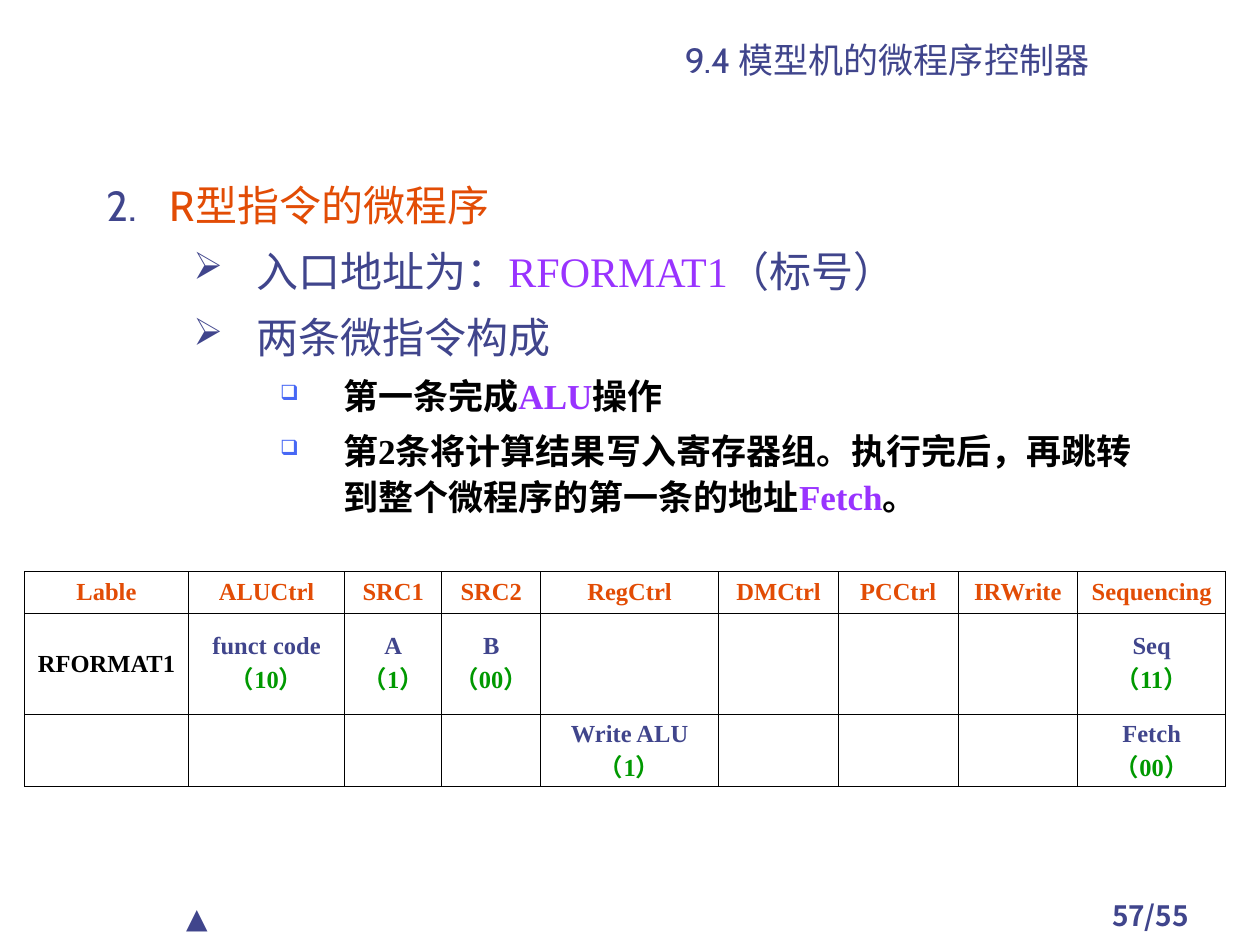
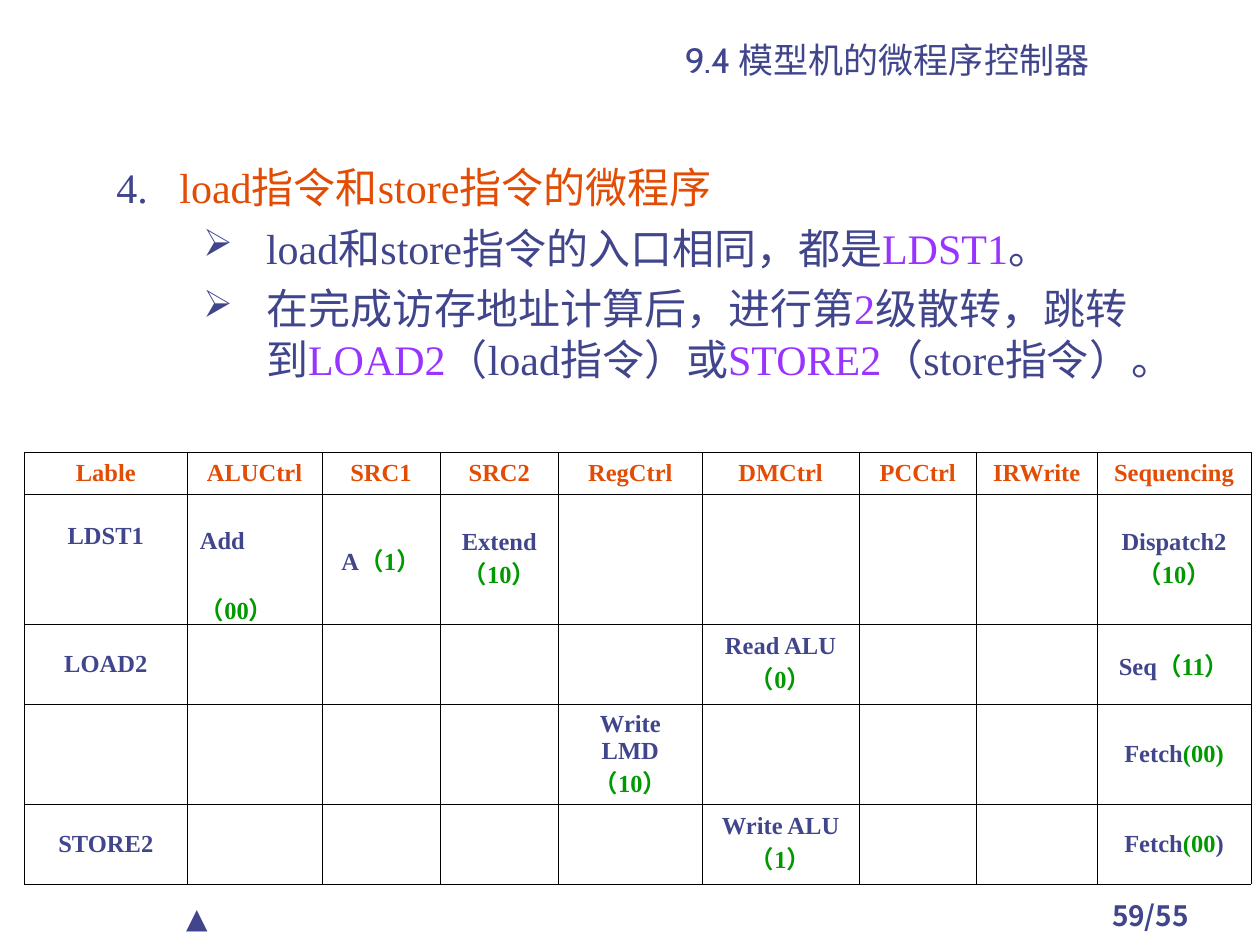
from lxml import etree
from pptx import Presentation
from pptx.dml.color import RGBColor
from pptx.enum.text import MSO_ANCHOR as ANCHOR, PP_ALIGN as ALIGN
from pptx.oxml.ns import qn
from pptx.util import Pt

COLORS = {"indigo": "40458C", "orange": "E24C05", "purple": "9933FF",
          "green": "009900", "blue": "4768F5", "black": "000000"}
CABIN, TIMES, CJK = "Cabin", "Times New Roman", "Noto Sans CJK SC"
HEADERS = ["Lable", "ALUCtrl", "SRC1", "SRC2", "RegCtrl", "DMCtrl",
           "PCCtrl", "IRWrite", "Sequencing"]

# Outline levels: left margin, bullet, bullet colour, bullet size, space before
LEVELS = [
    dict(margin=36, bullet=None, color="indigo", percent=100, before=6),
    dict(margin=85.5, bullet="➢", color="indigo", percent=90, before=6),
    dict(margin=135, bullet="❑", color="blue", percent=60, before=5),
]


def rgb(name):
    return RGBColor.from_string(COLORS[name])


def add_text(p, text, size=14, font=TIMES, color="indigo", accent="green",
             accent_font=None, bold=False, align=None, spacing=None):
    """Fill a paragraph; pieces between | marks alternate base and accent."""
    if align is not None:
        p.alignment = align
    if spacing:
        p.line_spacing = spacing
    for i, piece in enumerate(text.split("|")):
        if not piece:
            continue
        r = p.add_run()
        r.text = piece
        f = r.font
        f.size, f.bold = Pt(size), bold
        f.name = (accent_font or font) if i % 2 else font
        f.color.rgb = rgb(accent if i % 2 else color)
        etree.SubElement(r._r.get_or_add_rPr(), qn("a:ea"), typeface=CJK)


class Deck:
    def __init__(self):
        self.prs = Presentation()
        self.prs.slide_width, self.prs.slide_height = Pt(720), Pt(540)
        self.s = None

    def slide(self, page):
        """Start a slide with the shared title and footer."""
        self.s = self.prs.slides.add_slide(self.prs.slide_layouts[6])
        self.label(page, 606.25, 509.75, 102.25, 23.75, size=16, font=CJK,
                   bold=True, align=ALIGN.CENTER)
        self.label("▲", 99.25, 511.25, 102.25, 26.75, size=16, font=CABIN)
        self.label("9.4 模型机的微程序控制器", 306, 19.5, 401.75, 30.25,
                   anchor=ANCHOR.BOTTOM, size=20, font=CABIN,
                   align=ALIGN.CENTER)

    def box(self, x, y, w, h, anchor=ANCHOR.TOP):
        tf = self.s.shapes.add_textbox(Pt(x), Pt(y), Pt(w), Pt(h)).text_frame
        tf.word_wrap = True
        tf.vertical_anchor = anchor
        return tf

    def label(self, text, x, y, w, h, anchor=ANCHOR.TOP, **fmt):
        add_text(self.box(x, y, w, h, anchor).paragraphs[0], text, **fmt)

    def outline(self, items, x, y, w, h, start, spacing=None):
        """Numbered heading with bulleted points; items are (level, text, format)."""
        tf = self.box(x, y, w, h)
        for i, (level, text, fmt) in enumerate(items):
            p = tf.add_paragraph() if i else tf.paragraphs[0]
            style = LEVELS[level]
            p.level = level
            pPr = p._p.get_or_add_pPr()
            pPr.set("marL", str(Pt(style["margin"])))
            pPr.set("indent", str(Pt(-36)))
            clr = etree.SubElement(pPr, qn("a:buClr"))
            etree.SubElement(clr, qn("a:srgbClr"), val=COLORS[style["color"]])
            etree.SubElement(pPr, qn("a:buSzPct"),
                             val=str(style["percent"] * 1000))
            if style["bullet"]:
                etree.SubElement(pPr, qn("a:buChar"), char=style["bullet"])
            else:
                etree.SubElement(pPr, qn("a:buAutoNum"), type="arabicPeriod",
                                 startAt=str(start))
            if i:
                p.space_before = Pt(style["before"])
            add_text(p, text, accent="purple", accent_font=TIMES,
                     spacing=spacing, **fmt)

    def table(self, rows, x, y, widths, heights, special):
        """Microcode table; special maps (row, column) to cell formats."""
        shape = self.s.shapes.add_table(len(heights), len(widths), Pt(x), Pt(y),
                                        Pt(sum(widths)), Pt(sum(heights)))
        tbl = shape.table
        tbl.first_row = tbl.horz_banding = False
        for col, width in zip(tbl.columns, widths):
            col.width = Pt(width)
        for row, height in zip(tbl.rows, heights):
            row.height = Pt(height)
        header = dict(enumerate(HEADERS))
        for i, texts in enumerate([header] + rows):
            for j in range(len(widths)):
                fmt = dict(align=ALIGN.CENTER, anchor=ANCHOR.MIDDLE,
                           color="indigo" if i else "orange")
                fmt.update(special.get((i, j), {}))
                self.cell(tbl.cell(i, j), texts.get(j, ""), **fmt)

    def cell(self, cell, text, anchor, **fmt):
        cell.vertical_anchor = anchor
        tcPr = cell._tc.get_or_add_tcPr()
        for side in ("lnL", "lnR", "lnT", "lnB"):
            ln = etree.SubElement(tcPr, qn("a:" + side), w=str(Pt(0.45)))
            fill = etree.SubElement(ln, qn("a:solidFill"))
            etree.SubElement(fill, qn("a:srgbClr"), val=COLORS["black"])
        cell.fill.background()
        tf = cell.text_frame
        for i, line in enumerate(text.split("\n")):
            p = tf.add_paragraph() if i else tf.paragraphs[0]
            add_text(p, line, bold=True, **fmt)


def main():
    deck = Deck()

    # R-type instructions
    heading = dict(size=24, font=CABIN, color="orange")
    point = dict(size=24, font=CABIN)
    detail = dict(size=20, color="black", bold=True)
    deck.slide("57/55")
    deck.outline([
        (0, "R型指令的微程序", heading),
        (1, "入口地址为：|RFORMAT1|（标号）", point),
        (1, "两条微指令构成", point),
        (2, "第一条完成|ALU|操作", detail),
        (2, "第2条将计算结果写入寄存器组。执行完后，再跳转到整个微程序的"
            "第一条的地址|Fetch|。", detail),
    ], 54, 96, 612, 224.5, start=2, spacing=1.1)
    deck.table([
        {0: "RFORMAT1", 1: "funct code\n|（10）", 2: "A\n|（1）",
         3: "B\n|（00）", 8: "Seq\n|（11）"},
        {4: "Write ALU\n|（1）", 8: "Fetch\n|（00）"},
    ], 14, 326.5, [93.75, 89.25, 55.5, 56.5, 101.75, 68.5, 68.25, 68.5, 84.5],
        [24, 57.5, 41], {(1, 0): dict(color="black")})

    # Load and store instructions
    heading = dict(size=24, color="orange")
    point = dict(size=24)
    deck.slide("59/55")
    deck.outline([
        (0, "load指令和store指令的微程序", heading),
        (1, "load和store指令的入口相同，都是|LDST1|。", point),
        (1, "在完成访存地址计算后，进行第|2|级散转，跳转到|LOAD2|（load指令）或"
            "|STORE2|（store指令）。", point),
    ], 59.5, 88.5, 612, 170, start=4)
    deck.table([
        {0: "LDST1", 1: "Add|（00）", 2: "A|（1）", 3: "Extend\n|（10）",
         8: "Dispatch2\n|（10）"},
        {0: "LOAD2", 5: "Read ALU|（0）", 8: "Seq|（11）"},
        {4: "Write LMD|（10）", 8: "Fetch|(00)"},
        {0: "STORE2", 5: "Write ALU|（1）", 8: "Fetch|(00|)"},
    ], 14, 258.5, [93, 77, 67.5, 67.75, 82, 89.75, 67, 69, 88],
        [24, 74.25, 45.25, 57.5, 45.25],
        {(1, 0): dict(anchor=ANCHOR.TOP, spacing=1.8),
         (1, 1): dict(anchor=ANCHOR.TOP, spacing=2.0, align=ALIGN.LEFT)})

    deck.prs.save("out.pptx")


if __name__ == "__main__":
    main()
